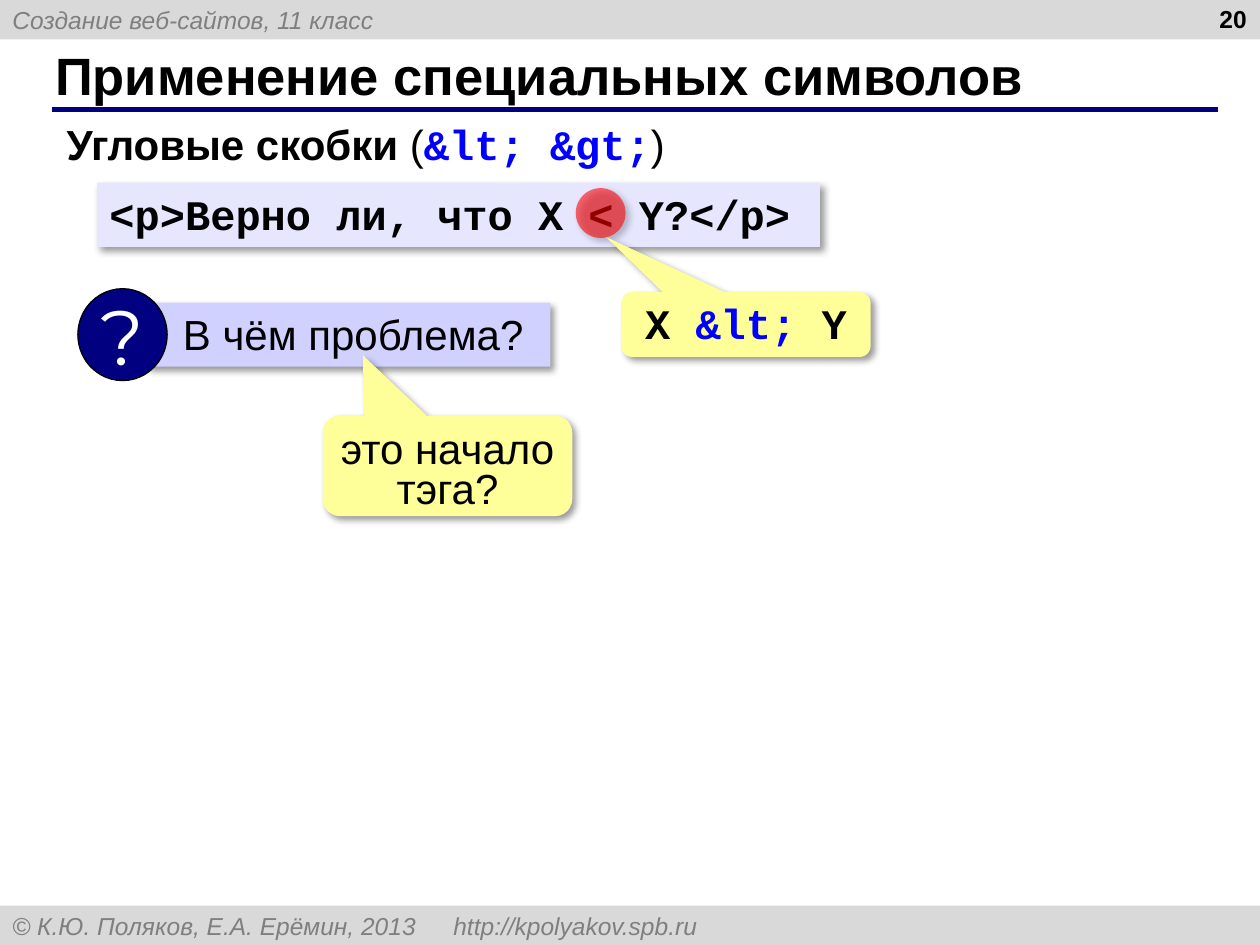
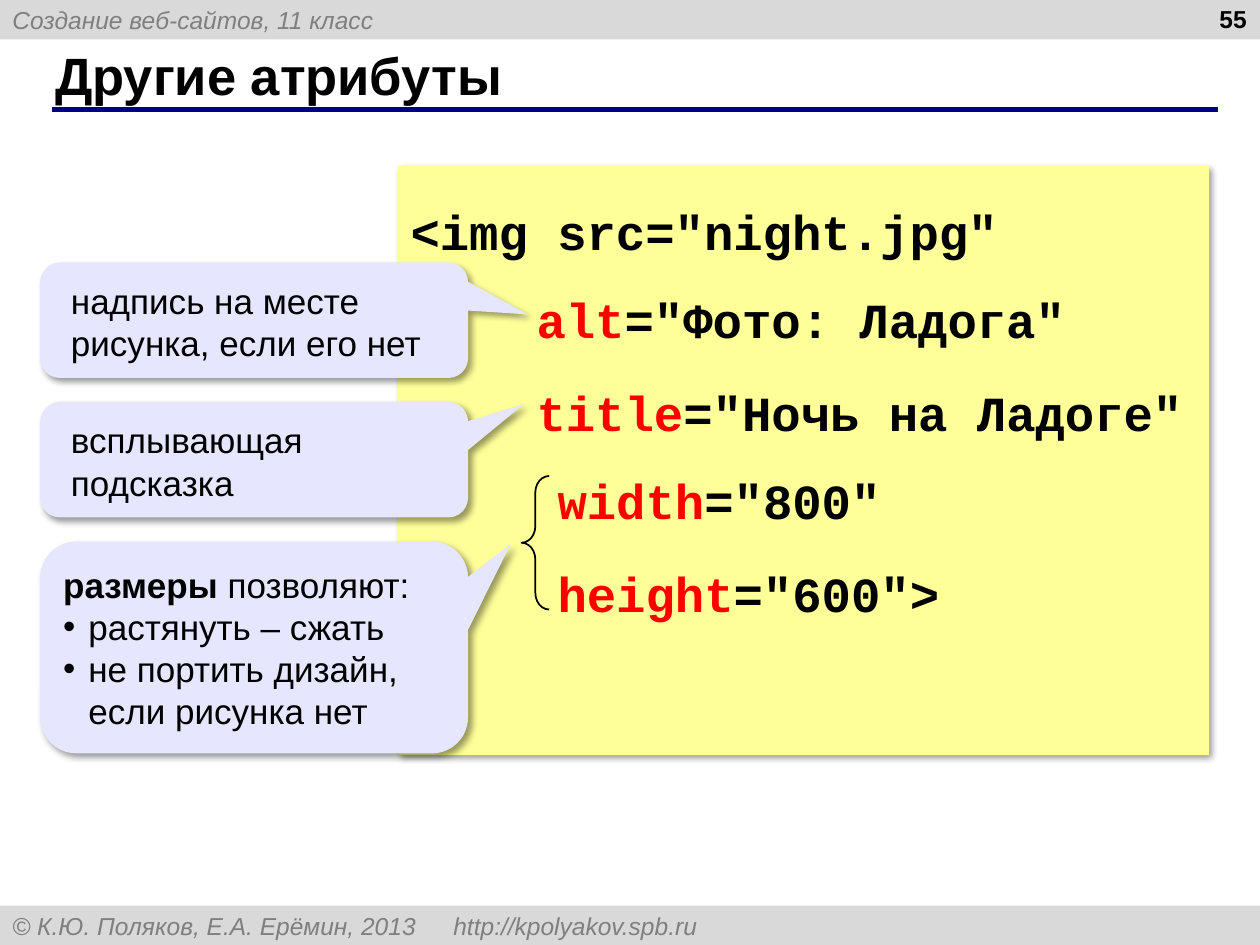
"""Build two slides of a web-design lesson: special characters and image attributes."""
from dataclasses import dataclass

from lxml.etree import SubElement
from pptx import Presentation
from pptx.dml.color import RGBColor
from pptx.enum.shapes import MSO_CONNECTOR, MSO_SHAPE
from pptx.enum.text import MSO_ANCHOR, PP_ALIGN
from pptx.oxml.ns import qn
from pptx.util import Pt


@dataclass(frozen=True)
class Theme:
    black: str = "000000"
    white: str = "FFFFFF"
    band: str = "D9D9D9"
    muted: str = "7F7F7F"
    navy: str = "000080"
    blue: str = "0000FF"
    red: str = "FF0000"
    yellow: str = "FFFF99"
    lavender: str = "E6E6FF"
    violet: str = "D1D1FF"
    sans: str = "Arial"
    mono: str = "Courier New"
    display: str = "Montserrat"
    small: int = 14
    note: int = 20
    body: int = 24
    code: int = 28
    title: int = 30
    sign: int = 44


theme = Theme()


def add_box(shapes, kind, frame, fill=None, line=None, shadow=False, adjustments=(), opacity=None):
    shape = shapes.add_shape(kind, *map(Pt, frame))
    if fill:
        shape.fill.solid()
        shape.fill.fore_color.rgb = RGBColor.from_string(fill)
    else:
        shape.fill.background()
    if line:
        color, width = line
        shape.line.color.rgb = RGBColor.from_string(color)
        shape.line.width = Pt(width)
    else:
        shape.line.fill.background()
    for index, value in enumerate(adjustments):
        shape.adjustments[index] = value
    shape.shadow.inherit = False
    properties = shape._element.spPr
    if opacity:
        fill_color = properties.find(qn("a:solidFill")).find(qn("a:srgbClr"))
        SubElement(fill_color, qn("a:alpha"), val=str(opacity * 1000))
    if shadow:
        outer = SubElement(properties.find(qn("a:effectLst")), qn("a:outerShdw"),
                           blurRad=str(Pt(4)), dist=str(Pt(3)), dir="2700000",
                           algn="tl", rotWithShape="0")
        shadow_color = SubElement(outer, qn("a:srgbClr"), val=theme.black)
        SubElement(shadow_color, qn("a:alpha"), val="40000")
    return shape


def write(shape, paragraphs, base, frame_format=None):
    text_frame = shape.text_frame
    frame_values = {"word_wrap": True, "vertical_anchor": MSO_ANCHOR.TOP, **(frame_format or {})}
    for name, value in frame_values.items():
        setattr(text_frame, name, value)
    for index, (runs, layout) in enumerate(paragraphs):
        paragraph = text_frame.add_paragraph() if index else text_frame.paragraphs[0]
        values = {"alignment": PP_ALIGN.LEFT, **layout}
        left, indent = values.pop("indents", (0, 0))
        bullet, tab = values.pop("bullet", None), values.pop("tab", None)
        for name, value in values.items():
            setattr(paragraph, name, value)
        properties = paragraph._p.get_or_add_pPr()
        properties.set("marL", str(Pt(left)))
        properties.set("indent", str(Pt(indent)))
        if bullet:
            SubElement(properties, qn("a:buFont"), typeface=theme.sans)
            SubElement(properties, qn("a:buChar"), char=bullet)
        if tab:
            tab_list = SubElement(properties, qn("a:tabLst"))
            SubElement(tab_list, qn("a:tab"), pos=str(Pt(tab)), algn="r")
        for text, changes in runs:
            run = paragraph.add_run()
            run.text = text
            font_format = {"color": theme.black, **base, **changes}
            run.font.color.rgb = RGBColor.from_string(font_format.pop("color"))
            for name, value in font_format.items():
                setattr(run.font, name, value)


band_font = {"name": theme.sans, "size": Pt(theme.small), "italic": True, "color": theme.muted}
number_font = {"name": theme.sans, "size": Pt(theme.small), "bold": True}
title_font = {"name": theme.sans, "size": Pt(theme.title), "bold": True}
body_font = {"name": theme.sans, "size": Pt(theme.body)}
mono_font = {"name": theme.mono, "size": Pt(theme.body), "bold": True}
code_font = {**mono_font, "size": Pt(theme.code)}
note_font = {"name": theme.sans, "size": Pt(theme.note)}
sign_font = {"name": theme.display, "size": Pt(theme.sign), "color": theme.white}
middle = {"vertical_anchor": MSO_ANCHOR.MIDDLE}
callout_margins = {"margin_top": Pt(6.5), "margin_bottom": Pt(3.6)}
centered_tight = {"alignment": PP_ALIGN.CENTER, "line_spacing": 0.8}
blue, red = {"color": theme.blue}, {"color": theme.red}

presentation = Presentation()
presentation.slide_width, presentation.slide_height = Pt(720), Pt(540)

bands = [
    (0, "Создание веб-сайтов, 11 класс", {}),
    (517.5, "© К.Ю. Поляков, Е.А. Ерёмин, 2013 \thttp://kpolyakov.spb.ru", {"tab": 692}),
]
slides = []
for title, number in [("Применение специальных символов", "20"), ("Другие атрибуты", "55")]:
    slide = presentation.slides.add_slide(presentation.slide_layouts[6])
    slides.append(slide)
    for top, text, layout in bands:
        band = add_box(slide.shapes, MSO_SHAPE.RECTANGLE, (0, top, 720, 22.5), theme.band)
        write(band, [([(text, {})], layout)], band_font, middle)
    rule = slide.shapes.add_connector(MSO_CONNECTOR.STRAIGHT, Pt(29.5), Pt(62.5), Pt(696), Pt(62.5))
    rule.line.color.rgb = RGBColor.from_string(theme.navy)
    rule.line.width = Pt(3)
    SubElement(rule._element.spPr, qn("a:effectLst"))
    title_box = slide.shapes.add_textbox(Pt(24.5), Pt(24), Pt(659.5), Pt(37.5))
    write(title_box, [([(title, {})], {})], title_font, middle)
    number_box = slide.shapes.add_textbox(Pt(551.5), Pt(-1.5), Pt(168), Pt(37.5))
    write(number_box, [([(number, {})], {"alignment": PP_ALIGN.RIGHT})], number_font)

symbols_slide, attributes_slide = slides

shapes = symbols_slide.shapes
heading = shapes.add_textbox(Pt(31), Pt(64), Pt(359.5), Pt(36.5))
heading_runs = [("Угловые скобки", {"bold": True}), (" (", {}),
                ("&lt; &gt;", {**mono_font, **blue}), (")", {})]
write(heading, [(heading_runs, {})], body_font, {"word_wrap": False})

code_line = add_box(shapes, MSO_SHAPE.RECTANGLE, (55.5, 104.4, 413, 36.7), theme.lavender, shadow=True)
write(code_line, [([("<p>Верно ли, что X < Y?</p>", {})], {})], mono_font)

question = shapes.add_group_shape()
question_bar = add_box(question.shapes, MSO_SHAPE.RECTANGLE, (84, 173, 230.5, 36.5),
                       theme.violet, shadow=True)
write(question_bar, [([("В чём проблема?", {})], {"indents": (13.5, 0)})], body_font)
question_sign = add_box(question.shapes, MSO_SHAPE.OVAL, (44.5, 165, 51, 52.5),
                        theme.navy, (theme.black, 0.75))
write(question_sign, [([("?", {})], {"alignment": PP_ALIGN.CENTER})], sign_font,
      {**middle, "word_wrap": False})

add_box(shapes, MSO_SHAPE.OVAL, (329, 107.5, 28.5, 28.5), theme.red, shadow=True, opacity=57)

answers = [
    ((355, 167, 142.5, 37), (-0.56, -1.35, 0.17), mono_font,
     [("X ", {}), ("&lt;", blue), (" Y", {})]),
    ((184.5, 237.5, 142.5, 57.5), (-0.34, -1.1, 0.17), body_font, [("это начало тэга?", {})]),
]
for frame, adjustments, font, runs in answers:
    answer = add_box(shapes, MSO_SHAPE.ROUNDED_RECTANGULAR_CALLOUT, frame, theme.yellow,
                     shadow=True, adjustments=adjustments)
    write(answer, [(runs, centered_tight)], font, callout_margins)

shapes = attributes_slide.shapes
code_block = add_box(shapes, MSO_SHAPE.RECTANGLE, (227.5, 94.5, 463.5, 337), theme.yellow, shadow=True)
code_lines = [
    (0, 0, "", '<img src="night.jpg"'),
    (72, 0, "alt", '="Фото: Ладога"'),
    (72, 2.8, "title", '="Ночь на Ладоге"'),
    (84, 0, "width", '="800"'),
    (84, 2.8, "height", '="600">'),
]
code_paragraphs = []
for left, gap, attribute, rest in code_lines:
    runs = [(attribute, red), (rest, {})] if attribute else [(rest, {})]
    layout = {"line_spacing": 1.5, "space_before": Pt(gap), "indents": (left, 0)}
    code_paragraphs.append((runs, layout))
write(code_block, code_paragraphs, code_font)

inset, hanging = {"indents": (7.2, 0)}, {"indents": (14.4, -14.4)}
bulleted = {**hanging, "bullet": "•"}
notes = [
    (150, 66, (0.64, -0.05, 0.17), [([("надпись на месте рисунка, если его нет", {})], inset)]),
    (229.7, 66, (0.63, -0.48, 0.17), [([("всплывающая подсказка", {})], inset)]),
    (309.5, 121, (0.6, -0.49, 0.17), [
        ([("размеры", {"bold": True}), (" позволяют:", {})], hanging),
        ([("растянуть – сжать", {})], bulleted),
        ([("не портить дизайн, если рисунка нет", {})], bulleted),
    ]),
]
for top, height, adjustments, paragraphs in notes:
    note = add_box(shapes, MSO_SHAPE.ROUNDED_RECTANGULAR_CALLOUT, (23, top, 244.5, height),
                   theme.lavender, shadow=True, adjustments=adjustments)
    write(note, paragraphs, note_font, callout_margins)

add_box(shapes, MSO_SHAPE.LEFT_BRACE, (298, 272, 15.8, 76.3), line=(theme.black, 1),
        adjustments=(0.6, 0.5))

presentation.save("out.pptx")
